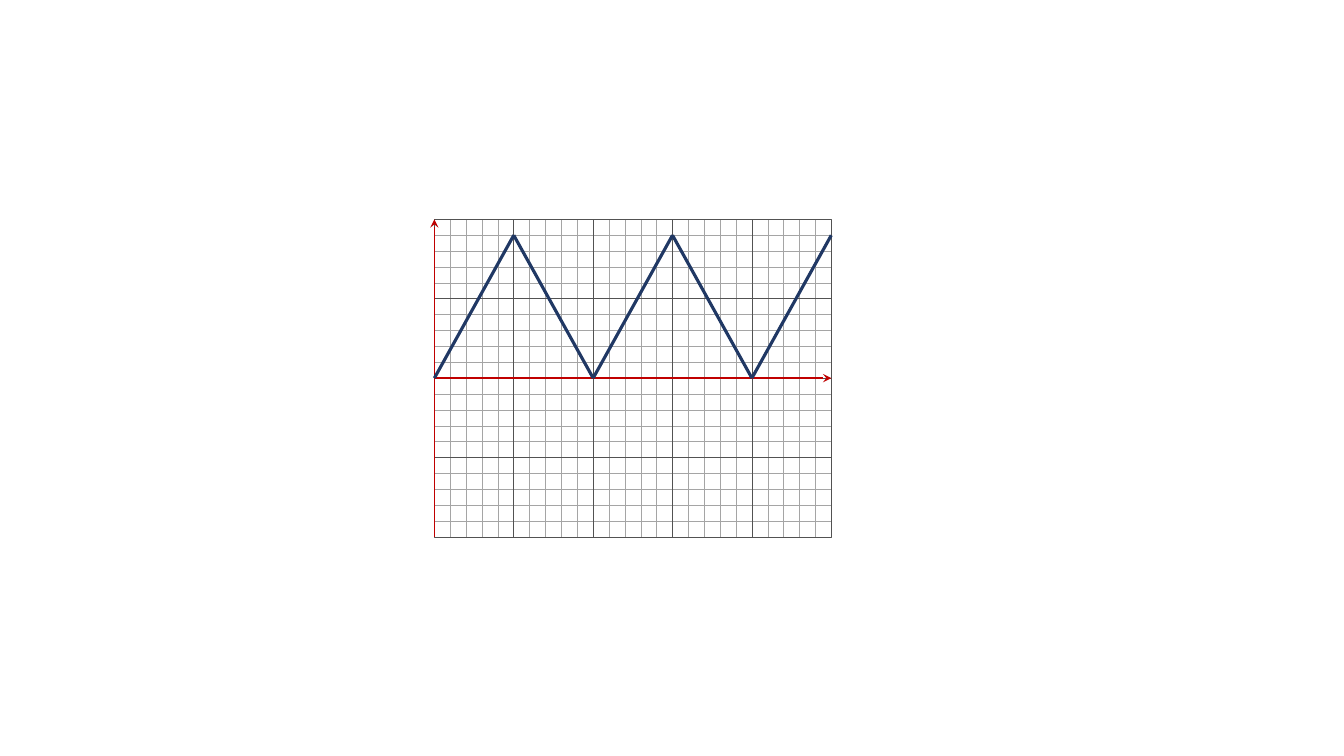
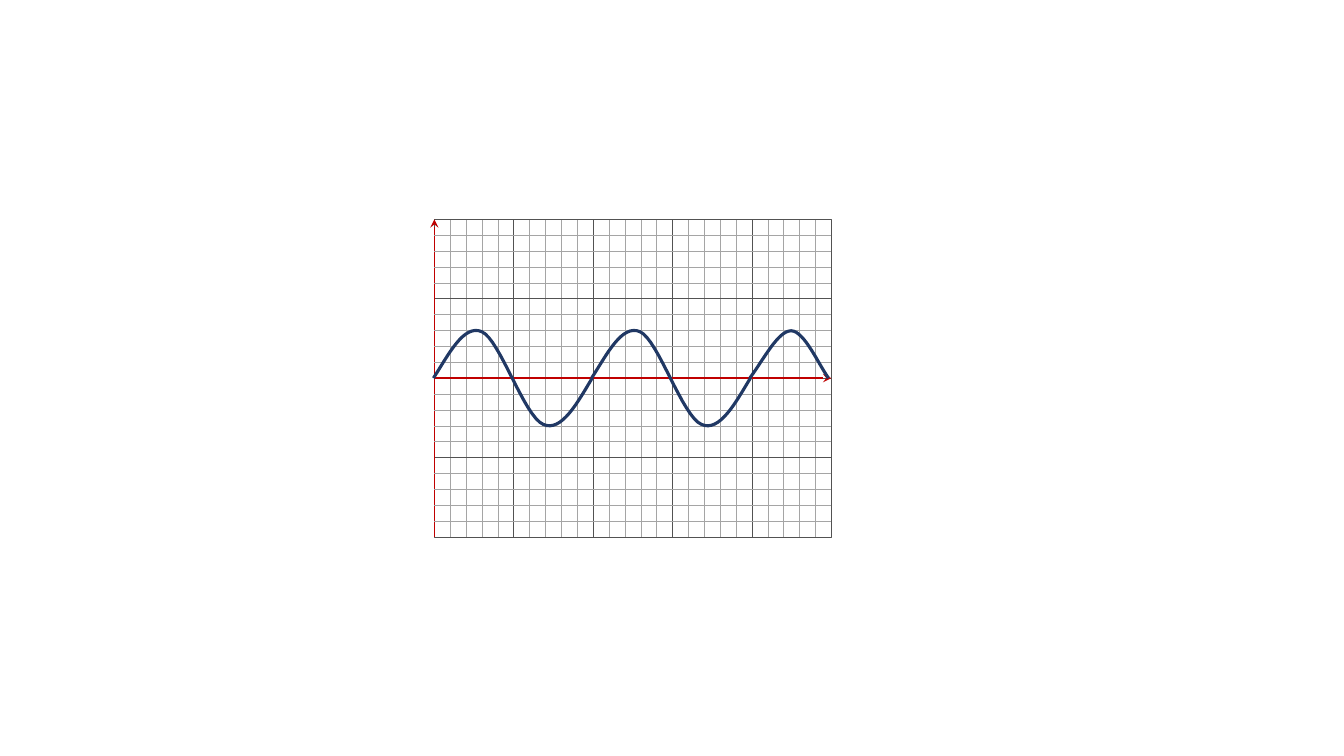
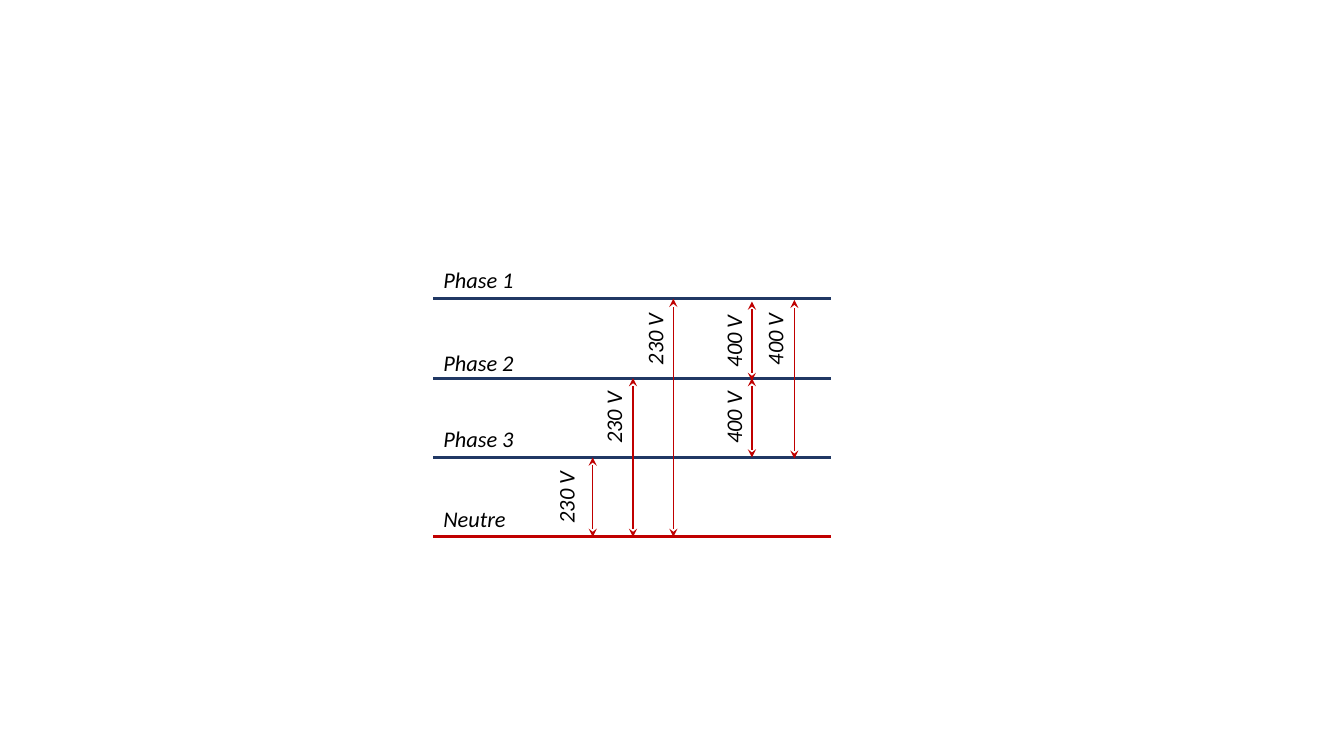
from lxml.etree import SubElement
from pptx import Presentation
from pptx.dml.color import RGBColor
from pptx.enum.shapes import MSO_CONNECTOR, MSO_SHAPE
from pptx.enum.text import MSO_AUTO_SIZE, PP_ALIGN
from pptx.oxml.ns import qn
from pptx.util import Pt

NAVY, RED, DARK, GRAY, BLACK = "203864", "C00000", "525252", "A5A5A5", "000000"
FONT, SIZE, BOLD = "Calibri", 16, 2.25
LEFT, TOP, CELL = 310.3, 156.7, 56.7
COLS, ROWS, PARTS = 5, 4, 5
STEP = CELL / PARTS
RIGHT, BASE = LEFT + COLS * CELL, TOP + ROWS * CELL
AXIS = TOP + 2 * CELL


def color(code):
    """Turn a hex string into a colour."""
    return RGBColor.from_string(code)


def curve(points, count=16):
    """Trace chained cubic arcs as a list of points."""
    trace = [points[0]]
    for i in range(0, len(points) - 1, 3):
        for n in range(1, count + 1):
            t = n / count
            mix = ((1 - t) ** 3, 3 * t * (1 - t) ** 2, 3 * t * t * (1 - t), t ** 3)
            arc = points[i:i + 4]
            trace.append(tuple(sum(m * p[k] for m, p in zip(mix, arc)) for k in (0, 1)))
    return trace


class Deck:
    """Holds the style and the current slide."""

    def __init__(self):
        """Start an empty wide deck."""
        self.file = Presentation()
        self.file.slide_width, self.file.slide_height = Pt(960), Pt(540)
        self.shapes = None

    def page(self):
        """Add a blank slide."""
        self.shapes = self.file.slides.add_slide(self.file.slide_layouts[6]).shapes

    def line(self, x1, y1, x2, y2, tint, width, *tips):
        """Draw a line with arrow tips at the named ends."""
        line = self.shapes.add_connector(
            MSO_CONNECTOR.STRAIGHT, Pt(x1), Pt(y1), Pt(x2), Pt(y2))
        line.line.color.rgb = color(tint)
        line.line.width = Pt(width)
        frame = line.element.spPr
        for tip in tips:
            SubElement(frame.get_or_add_ln(), qn("a:" + tip), type="stealth")
        SubElement(frame, qn("a:effectLst"))

    def edge(self, shape, tint, width):
        """Leave a shape with its outline only."""
        shape.shadow.inherit = False
        shape.fill.background()
        shape.line.color.rgb = color(tint)
        shape.line.width = Pt(width)

    def rows(self):
        """Draw the fine level lines."""
        for i in range(1, ROWS * PARTS):
            if i % PARTS:
                y = TOP + i * STEP
                self.line(RIGHT, y, LEFT, y, GRAY, 0.5 if i < PARTS else 0.25)

    def cols(self):
        """Draw the fine upright lines."""
        for i in range(1, COLS * PARTS):
            if i % PARTS:
                x = LEFT + i * STEP
                self.line(x, TOP, x, BASE, GRAY, 0.25)

    def frame(self):
        """Draw the border, the main grid and the axes."""
        box = self.shapes.add_shape(
            MSO_SHAPE.RECTANGLE, Pt(LEFT), Pt(TOP), Pt(RIGHT - LEFT), Pt(BASE - TOP))
        self.edge(box, DARK, 0.5)
        for i in range(1, COLS):
            self.line(LEFT + i * CELL, TOP, LEFT + i * CELL, BASE, DARK, 0.5)
        for i in range(1, ROWS):
            self.line(LEFT, TOP + i * CELL, RIGHT, TOP + i * CELL, DARK, 0.5)
        self.line(LEFT, BASE, LEFT, TOP, RED, 1, "tailEnd")
        self.line(LEFT, AXIS, RIGHT, AXIS, RED, 1, "tailEnd")

    def wave(self, left, points):
        """Draw a curve that starts on the axis."""
        trace = [(Pt(left + x), Pt(AXIS + y)) for x, y in curve(points)]
        path = self.shapes.build_freeform(*trace[0])
        path.add_line_segments(trace[1:], close=False)
        self.edge(path.convert_to_shape(), NAVY, BOLD)

    def label(self, text, left, top, width, turned=False):
        """Write an italic label, level or turned upward."""
        box = self.shapes.add_textbox(Pt(left), Pt(top), Pt(width), Pt(26.6))
        box.text_frame.word_wrap = turned
        box.text_frame.auto_size = MSO_AUTO_SIZE.SHAPE_TO_FIT_TEXT
        line = box.text_frame.paragraphs[0]
        line.text = text
        line.font.name, line.font.size = FONT, Pt(SIZE)
        line.font.italic = True
        line.font.color.rgb = color(BLACK)
        if turned:
            box.rotation = 270
            line.alignment = PP_ALIGN.CENTER


deck = Deck()

deck.page()
deck.rows()
deck.cols()
deck.frame()
peak = AXIS - 9 * STEP
for i in range(COLS):
    start, end = (peak, AXIS) if i % 2 else (AXIS, peak)
    deck.line(LEFT + i * CELL, start, LEFT + (i + 1) * CELL, end, NAVY, BOLD)

deck.page()
deck.cols()
deck.frame()
deck.rows()
FULL = [(0, 0), (10.8, -16.6), (21.6, -38.9), (34.6, -33.1), (47.5, -27.4),
        (64.8, 27.4), (78.5, 33.1), (91.4, 38.9), (103, 17.3), (113.4, 0)]
HALF = [(0, 0), (10.1, -13.7), (20.2, -33.8), (29.5, -33.8),
        (38.9, -33.8), (49.7, -8.6), (56.2, 0)]
for i, part in enumerate((FULL, FULL, HALF)):
    deck.wave(309.6 + i * 113, part)

deck.page()
WIRES = [("Phase 1", 186.5, 65.5, NAVY), ("Phase 2", 246.2, 65.5, NAVY),
         ("Phase 3", 300.2, 65.5, NAVY), ("Neutre", 357.1, 59.8, RED)]
level = [TOP + i * CELL for i in range(1, ROWS + 1)]
for y, (name, top, width, tint) in zip(level, WIRES):
    deck.line(309.6, y, 593.3, y, tint, BOLD)
    deck.label(name, 309.6, top, width)
first, second, third, ground = level
SPANS = [("230 V", 423.4, ground, third, 375.8, 342),
         ("230 V", 452.2, ground, second, 409.7, 285.1),
         ("230 V", 481, ground, first, 439.2, 229),
         ("400 V", 537.1, third, second, 495.4, 285.1),
         ("400 V", 537.1, second + 2, first + 2, 495.4, 230.4),
         ("400 V", 567.4, third + 0.8, first + 0.8, 524.9, 229)]
for volts, x, low, high, left, top in SPANS:
    deck.line(x, low, x, high, RED, 1, "headEnd", "tailEnd")
    deck.label(volts, left, top, 56.9, turned=True)

deck.file.save("out.pptx")
